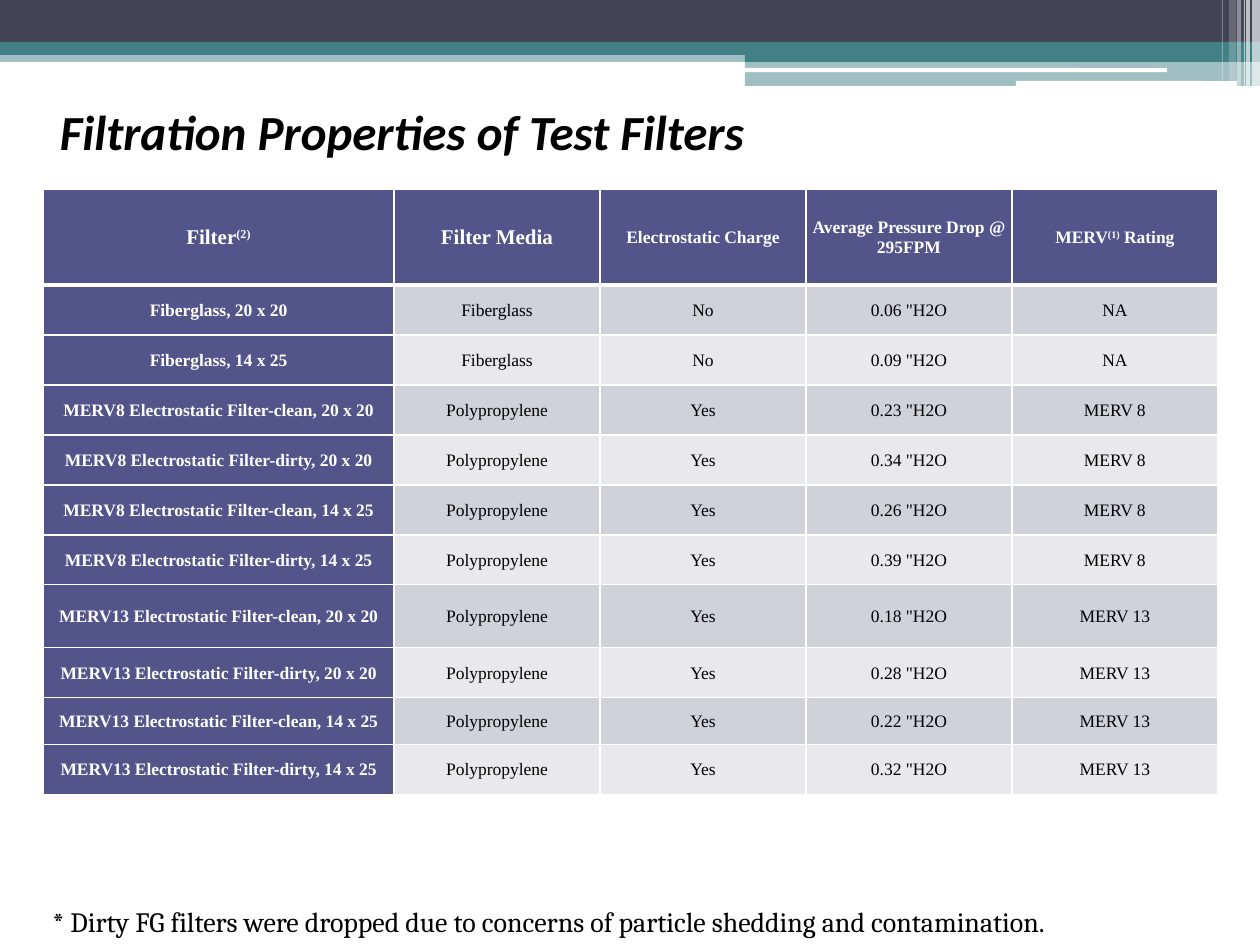
from dataclasses import dataclass

from lxml import etree
from pptx import Presentation
from pptx.dml.color import RGBColor
from pptx.enum.shapes import MSO_SHAPE
from pptx.enum.text import MSO_ANCHOR, MSO_AUTO_SIZE, PP_ALIGN
from pptx.oxml.ns import qn
from pptx.slide import Slide
from pptx.table import _Cell
from pptx.text.text import _Paragraph
from pptx.util import Emu, Pt

RECTANGLE = MSO_SHAPE.RECTANGLE
ROUNDED = MSO_SHAPE.ROUNDED_RECTANGLE
CENTER, LEFT = PP_ALIGN.CENTER, PP_ALIGN.LEFT
MIDDLE, TOP = MSO_ANCHOR.MIDDLE, MSO_ANCHOR.TOP
GROW = MSO_AUTO_SIZE.SHAPE_TO_FIT_TEXT

EMU_PER_PX = 914400 / 126
COLORS = {
    "navy": "424456",
    "teal": "438086",
    "white": "FFFFFF",
    "black": "000000",
    "purple": "53548A",
    "band_dark": "D1D1DA",
    "band_light": "E9E9ED",
}


@dataclass
class Bar:
    left: int
    top: int
    width: int
    height: int
    color: str
    opacity: int = 100
    shape: MSO_SHAPE = RECTANGLE


@dataclass
class Label:
    left: int
    top: int
    width: int
    height: int
    text: str
    font: str
    size: int
    emphasis: bool = False
    align: PP_ALIGN = LEFT
    anchor: MSO_ANCHOR = TOP


@dataclass
class Heading:
    spans: tuple[str, ...]
    size: int


BARS = [
    Bar(0, 50, 1260, 12, "teal", 50),
    Bar(0, 0, 1260, 42, "navy"),
    Bar(0, 42, 1260, 13, "teal"),
    Bar(745, 49, 515, 13, "teal"),
    Bar(745, 61, 515, 25, "teal", 50),
    Bar(745, 68, 422, 4, "white", shape=ROUNDED),
    Bar(1016, 81, 221, 5, "white", shape=ROUNDED),
    Bar(1252, 0, 8, 86, "white", 65),
    Bar(1246, 0, 4, 86, "white", 65),
    Bar(1244, 0, 1, 86, "white", 60),
    Bar(1237, 0, 4, 86, "white", 40),
    Bar(1229, 0, 7, 81, "white", 20),
    Bar(1222, 0, 1, 81, "white", 30),
]
LABELS = [
    Label(43, 95, 718, 72, "Filtration Properties of Test Filters",
          "Calibri", 28, True, CENTER, MIDDLE),
    Label(40, 898, 1130, 47,
          "* Dirty FG filters were dropped due to concerns of particle "
          "shedding and contamination.", "Cambria", 16),
]

TABLE_LEFT, TABLE_TOP = 43, 189
COLUMN_WIDTHS = [351] + [206] * 4
ROW_HEIGHTS = [96] + [50] * 6 + [63, 50, 47, 50]
TABLE_FONT = "Times New Roman"
# Every second span of a heading is a superscript.
HEADINGS = [
    Heading(("Filter", "(2)"), 12),
    Heading(("Filter Media",), 12),
    Heading(("Electrostatic Charge",), 10),
    Heading(("Average Pressure Drop @ 295FPM",), 10),
    Heading(("MERV", "(1)", " Rating"), 10),
]
FILTERS = [
    ("Fiberglass, 20 x 20", "0.06", "NA"),
    ("Fiberglass, 14 x 25", "0.09", "NA"),
    ("MERV8 Electrostatic Filter-clean, 20 x 20", "0.23", "MERV 8"),
    ("MERV8 Electrostatic Filter-dirty, 20 x 20", "0.34", "MERV 8"),
    ("MERV8 Electrostatic Filter-clean, 14 x 25", "0.26", "MERV 8"),
    ("MERV8 Electrostatic Filter-dirty, 14 x 25", "0.39", "MERV 8"),
    ("MERV13 Electrostatic Filter-clean, 20 x 20", "0.18", "MERV 13"),
    ("MERV13 Electrostatic Filter-dirty, 20 x 20", "0.28", "MERV 13"),
    ("MERV13 Electrostatic Filter-clean, 14 x 25", "0.22", "MERV 13"),
    ("MERV13 Electrostatic Filter-dirty, 14 x 25", "0.32", "MERV 13"),
]


def px(length: int) -> Emu:
    return Emu(round(length * EMU_PER_PX))


def rgb(name: str) -> RGBColor:
    return RGBColor.from_string(COLORS[name])


def draw_bar(page: Slide, bar: Bar) -> None:
    shape = page.shapes.add_shape(bar.shape, px(bar.left), px(bar.top),
                                  px(bar.width), px(bar.height))
    shape.shadow.inherit = False
    shape.line.fill.background()
    shape.fill.solid()
    shape.fill.fore_color.rgb = rgb(bar.color)
    if bar.opacity < 100:
        color = shape._element.spPr.find(f".//{qn('a:srgbClr')}")
        etree.SubElement(color, qn("a:alpha"), val=str(bar.opacity * 1000))


def format_text(paragraph: _Paragraph, font: str, size: int, color: str,
                bold: bool, italic: bool = False) -> None:
    for span in paragraph.runs:
        span.font.name = font
        span.font.size = Pt(size)
        span.font.bold = bold
        span.font.italic = italic
        span.font.color.rgb = rgb(color)


def draw_label(page: Slide, label: Label) -> None:
    box = page.shapes.add_textbox(px(label.left), px(label.top),
                                  px(label.width), px(label.height))
    frame = box.text_frame
    frame.text = label.text
    frame.word_wrap = False
    frame.auto_size = GROW
    frame.vertical_anchor = label.anchor
    paragraph = frame.paragraphs[0]
    paragraph.alignment = label.align
    format_text(paragraph, label.font, label.size, "black",
                label.emphasis, label.emphasis)


def style_cell(cell: _Cell, fill: str, top: int, bottom: int) -> None:
    """Set margins, white borders (widths in points) and fill."""
    cell.vertical_anchor = MIDDLE
    cell.margin_left = cell.margin_right = cell.margin_top = px(1)
    cell.margin_bottom = 0
    properties = cell._tc.get_or_add_tcPr()
    for side, width in (("L", 1), ("R", 1), ("T", top), ("B", bottom)):
        line = etree.SubElement(properties, qn(f"a:ln{side}"), w=str(Pt(width)))
        solid = etree.SubElement(line, qn("a:solidFill"))
        etree.SubElement(solid, qn("a:srgbClr"), val=COLORS["white"])
    cell.fill.solid()
    cell.fill.fore_color.rgb = rgb(fill)


def fill_cell(cell: _Cell, spans: tuple[str, ...], size: int, strong: bool) -> None:
    paragraph = cell.text_frame.paragraphs[0]
    paragraph.alignment = CENTER
    for index, text in enumerate(spans):
        span = paragraph.add_run()
        span.text = text
        if index % 2:
            span._r.get_or_add_rPr().set("baseline", "30000")
    format_text(paragraph, TABLE_FONT, size, "white" if strong else "black", strong)


def draw_table(page: Slide) -> None:
    table = page.shapes.add_table(
        len(ROW_HEIGHTS), len(COLUMN_WIDTHS), px(TABLE_LEFT), px(TABLE_TOP),
        px(sum(COLUMN_WIDTHS)), px(sum(ROW_HEIGHTS))).table
    for column, width in zip(table.columns, COLUMN_WIDTHS):
        column.width = px(width)
    for row, height in zip(table.rows, ROW_HEIGHTS):
        row.height = px(height)

    for column, heading in enumerate(HEADINGS):
        cell = table.cell(0, column)
        style_cell(cell, "purple", 1, 3)
        fill_cell(cell, heading.spans, heading.size, True)

    for row, (name, drop, rating) in enumerate(FILTERS, start=1):
        is_fiberglass = name.startswith("Fiberglass")
        media, charge = ("Fiberglass", "No") if is_fiberglass else ("Polypropylene", "Yes")
        band = "band_dark" if row % 2 else "band_light"
        for column, text in enumerate((name, media, charge, f'{drop} "H2O', rating)):
            cell = table.cell(row, column)
            style_cell(cell, band if column else "purple", 3 if row == 1 else 1, 1)
            fill_cell(cell, (text,), 10, column == 0)


def main() -> None:
    deck = Presentation()
    deck.slide_width, deck.slide_height = px(1260), px(945)
    page = deck.slides.add_slide(deck.slide_layouts[6])
    for bar in BARS:
        draw_bar(page, bar)
    for label in LABELS:
        draw_label(page, label)
    draw_table(page)
    deck.save("out.pptx")


if __name__ == "__main__":
    main()
